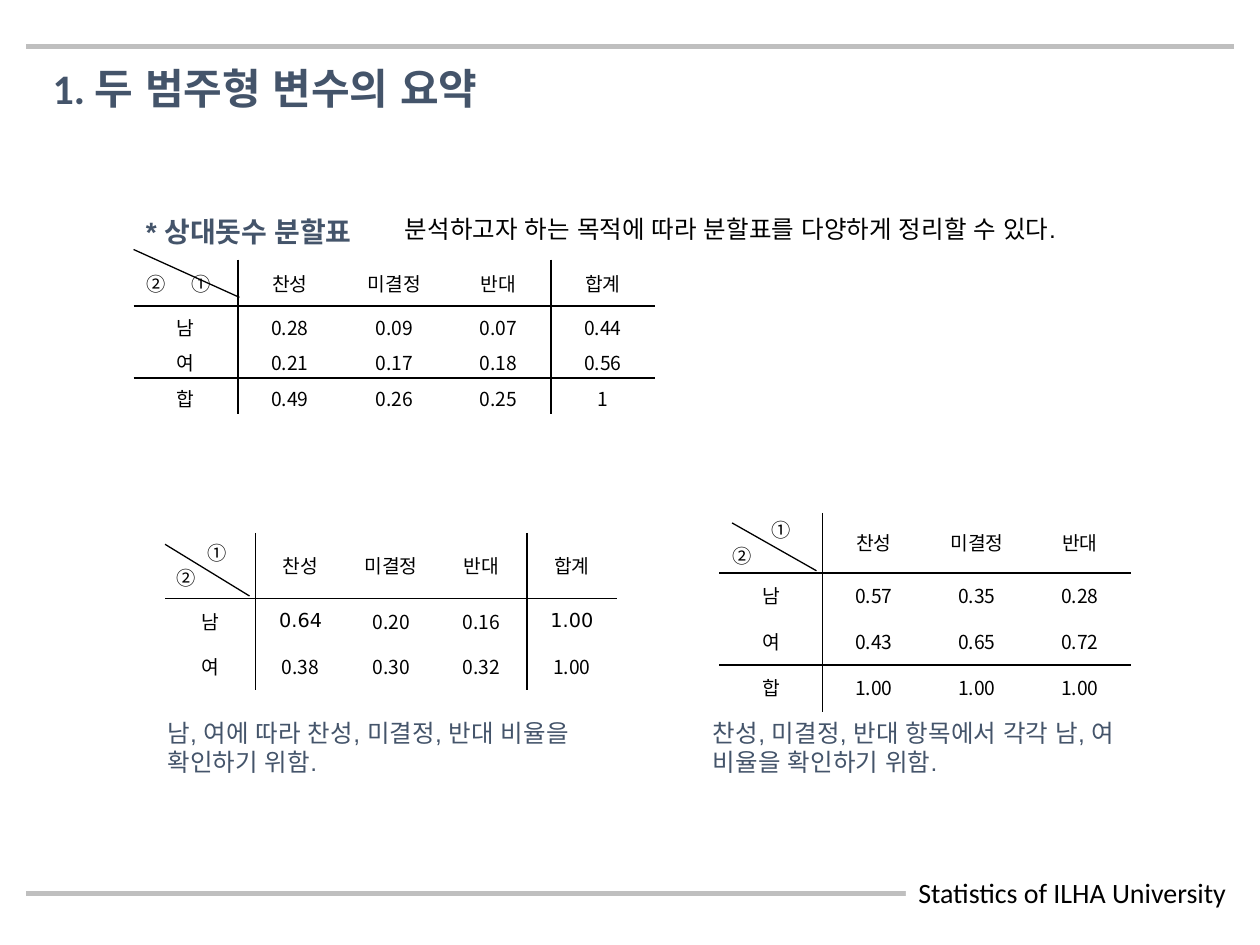
from lxml import etree
from pptx import Presentation, util as u
from pptx.dml.color import RGBColor
from pptx.enum import shapes, text
from pptx.oxml.ns import qn

# The slide is a grid of 100 columns by 75 rows
COLS, ROWS = 100, 75
CELL = u.Inches(0.1)
BLACK, SLATE, GREY, WHITE = "000000", "44546A", "BFBFBF", "FFFFFF"
TABLE_FONT = "Noto Sans CJK KR"
OPINIONS = ["찬성", "미결정", "반대"]


def grid(*lengths):
    """Turn grid columns or rows into slide lengths."""
    return [int(n * CELL) for n in lengths]


def color(value):
    return RGBColor.from_string(value)


def write(p, content, size=11, font=TABLE_FONT, east=None, fill=BLACK,
          bold=False, align=None, spacing=None):
    """Add one formatted run to a paragraph."""
    r = p.add_run()
    r.text = content
    r.font.size, r.font.name, r.font.bold = u.Pt(size), font, bold
    r.font.color.rgb = color(fill)
    etree.SubElement(r._r.get_or_add_rPr(), qn("a:ea"), typeface=east or font)
    p.alignment = align
    if spacing:
        p.line_spacing = spacing


def add_text(s, at, content, wrap=True, back=None, **style):
    sp = s.shapes.add_textbox(*grid(*at))
    tf = sp.text_frame
    tf.word_wrap = wrap
    if back:
        sp.fill.solid()
        sp.fill.fore_color.rgb = color(back)
    write(tf.paragraphs[0], content, **style)


def add_line(s, start, end, width=0.75, fill=BLACK):
    line = s.shapes.add_connector(shapes.MSO_CONNECTOR.STRAIGHT,
                                  *grid(*start, *end))
    line.line.color.rgb = color(fill)
    line.line.width = u.Pt(width)
    etree.SubElement(line._element.spPr, qn("a:effectLst"))


def set_borders(cell, sides):
    """Draw 1 pt lines on the given sides and none on the others."""
    tcPr = cell._tc.get_or_add_tcPr()
    for side in "LRTB":
        ln = etree.SubElement(tcPr, qn(f"a:ln{side}"), w=str(u.Pt(1)))
        if side in sides:
            solid = etree.SubElement(ln, qn("a:solidFill"))
            etree.SubElement(solid, qn("a:srgbClr"), val=BLACK)
        else:
            etree.SubElement(ln, qn("a:noFill"))


def write_corner(cell, left, gap, stacked):
    """Place the marks of the two variables in the header corner."""
    tf = cell.text_frame
    cell.margin_left = grid(left)[0]
    offset = str(grid(gap)[0])
    p = tf.paragraphs[0]
    pPr = p._p.get_or_add_pPr()
    if stacked:
        pPr.set("marL", offset)
        pPr.set("indent", "0")
        write(p, "①")
        write(tf.add_paragraph(), "②", spacing=0.9)
    else:
        tabs = etree.SubElement(pPr, qn("a:tabLst"))
        etree.SubElement(tabs, qn("a:tab"), pos=offset, algn="l")
        write(p, "②\t①")


def add_rules(s, at, width, heights, n, v_lines, h_lines):
    """Draw full-length rules over the edges of a table."""
    x, y = at
    for j in v_lines:
        edge = x + j * width / n
        add_line(s, (edge, y), (edge, y + sum(heights)), width=1)
    for i in h_lines:
        edge = y + sum(heights[:i])
        add_line(s, (x, edge), (x + width, edge), width=1)


def add_crosstab(s, at, width, heights, rows, v_lines, h_lines, corner,
                 fonts=None, ruled=False, top=0, bottom=0):
    """Add a table; v_lines and h_lines number the inner edges to draw."""
    n = len(rows[0])
    frame = s.shapes.add_table(len(rows), n,
                               *grid(*at, width, sum(heights)))
    table = frame.table
    table.first_row = table.horz_banding = False
    for col in table.columns:
        col.width = grid(width / n)[0]
    for i, (height, row) in enumerate(zip(heights, rows)):
        table.rows[i].height = grid(height)[0]
        for j, value in enumerate(row):
            cell = table.cell(i, j)
            cell.margin_left = cell.margin_right = 0
            cell.margin_top, cell.margin_bottom = grid(top if i else 0, bottom)
            cell.vertical_anchor = text.MSO_ANCHOR.MIDDLE
            edges = {"L": j in v_lines, "R": j + 1 in v_lines,
                     "T": i in h_lines, "B": i + 1 in h_lines}
            set_borders(cell, [side for side, on in edges.items()
                               if on and not ruled])
            cell.fill.background()
            if value is None:
                write_corner(cell, **corner)
            else:
                write(cell.text_frame.paragraphs[0], value,
                      font=(fonts or {}).get((i, j), TABLE_FONT),
                      align=text.PP_ALIGN.CENTER)
    if ruled:
        add_rules(s, at, width, heights, n, v_lines, h_lines)


def main():
    prs = Presentation()
    prs.slide_width, prs.slide_height = grid(COLS, ROWS)
    s = prs.slides.add_slide(prs.slide_layouts[6])

    # Frame rules and footer
    for y in (70.9, 3.7):
        add_line(s, (2.1, y), (COLS - 2.1, y), width=3, fill=GREY)
    add_text(s, (71.9, 69, 27.3, 3.7), "Statistics of ILHA University",
             wrap=False, back=WHITE, size=16, font="Calibri")

    # Headings
    add_text(s, (3.2, 4.5, 37.9, 5), "1. 두 범주형 변수의 요약", wrap=False,
             size=24, font="Calibri", east="Arial", fill=SLATE, bold=True)
    add_text(s, (30.6, 15.8, 60.8, 4.1),
             " 분석하고자 하는 목적에 따라 분할표를 다양하게 정리할 수 있다.",
             size=14, font="Arial", spacing=1.3)
    add_text(s, (10.6, 16.5, 30, 3.7), "* 상대돗수 분할표",
             size=16, font="Arial", fill=SLATE, bold=True)

    # Joint shares
    add_crosstab(s, (10.6, 20.6), 41.4, [3.7, 2.85, 2.85, 2.85],
                 [[None, *OPINIONS, "합계"],
                  ["남", "0.28", "0.09", "0.07", "0.44"],
                  ["여", "0.21", "0.17", "0.18", "0.56"],
                  ["합", "0.49", "0.26", "0.25", "1"]],
                 v_lines=[1, 4], h_lines=[1, 3], top=0.4,
                 corner=dict(left=1, gap=3.6, stacked=False))
    add_line(s, (19, 23.6), (10.6, 19.8))

    # Shares within each row
    add_crosstab(s, (13.1, 42.3), 35.9, [5.2, 3.7, 3.6],
                 [[None, *OPINIONS, "합계"],
                  ["남", "0.64", "0.20", "0.16", "1.00"],
                  ["여", "0.38", "0.30", "0.32", "1.00"]],
                 v_lines=[1, 4], h_lines=[1], ruled=True, bottom=0.2,
                 corner=dict(left=0.9, gap=2.5, stacked=True),
                 fonts=dict.fromkeys([(1, 1), (1, 4)], "DejaVu Sans"))
    add_line(s, (19.8, 47.3), (13.1, 43.2))

    # Shares within each column
    add_crosstab(s, (57.1, 40.7), 32.7, [4.8, 3.7, 3.6, 3.7],
                 [[None, *OPINIONS],
                  ["남", "0.57", "0.35", "0.28"],
                  ["여", "0.43", "0.65", "0.72"],
                  ["합", "1.00", "1.00", "1.00"]],
                 v_lines=[1], h_lines=[1, 3], ruled=True, bottom=0.2,
                 corner=dict(left=1, gap=3.1, stacked=True))
    add_line(s, (64.8, 45.3), (58.1, 41.5))

    # Captions
    captions = {12.3: "남, 여에 따라 찬성, 미결정, 반대 비율을 확인하기 위함.",
                55.6: "찬성, 미결정, 반대 항목에서 각각 남, 여 비율을 확인하기 위함."}
    for x, caption in captions.items():
        add_text(s, (x, 56.5, 37.5, 5.7), caption,
                 size=14, font="Arial", fill=SLATE)

    prs.save("out.pptx")


if __name__ == "__main__":
    main()
